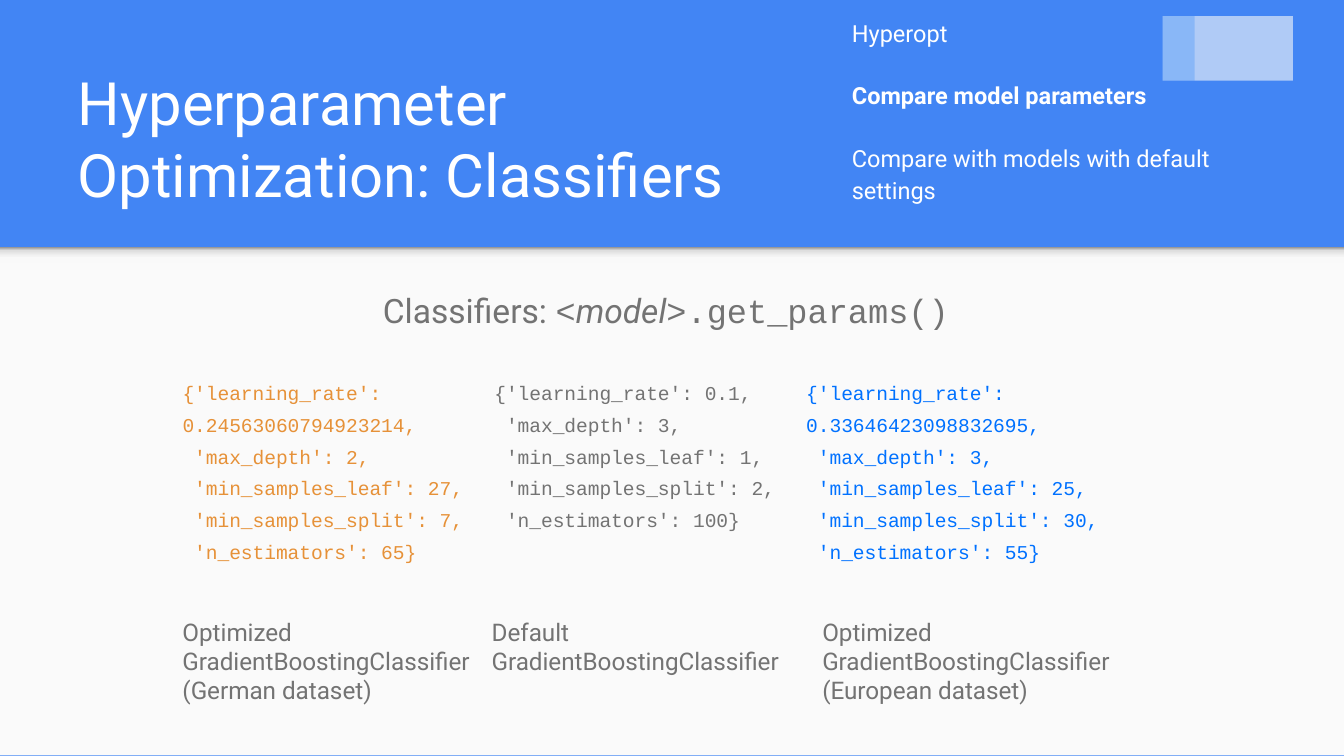
from copy import deepcopy

from pptx import Presentation
from pptx.dml.color import RGBColor
from pptx.enum.shapes import MSO_SHAPE
from pptx.enum.text import MSO_ANCHOR
from pptx.oxml.ns import qn
from pptx.oxml.xmlchemy import OxmlElement
from pptx.util import Inches, Pt

RECT = MSO_SHAPE.RECTANGLE
TOP, BOTTOM = MSO_ANCHOR.TOP, MSO_ANCHOR.BOTTOM

THEME = {
    "blue": "4285F4", "paper": "FAFAFA", "white": "FFFFFF", "gray": "737373",
    "orange": "E69138", "bright": "0071FF", "pale": "E5EDF8",
    "sans": "Roboto", "mono": "Courier New",
    "title": 32, "heading": 18, "label": 13, "outline": 12.6, "code": 10.5,
}
SHADE = [(0, "F9F9F9"), (0.36, "F9F9F9"), (0.8, "DEDEDE"), (1, "999999")]

TITLE = "Hyperparameter Optimization: Classifiers"
OUTLINE = [
    ("Hyperopt", False),
    ("Compare model parameters", True),
    ("Compare with models with default settings", False),
]
HEADING = [
    ("Classifiers: ", {"name": "sans"}),
    ("<", {"name": "mono"}),
    ("model", {"name": "sans", "italic": True}),
    (">.get_params()", {"name": "mono"}),
]
PROGRESS = [(0.97, "pale", 68), (0.24, "bright", 22)]
MODELS = [
    {"color": "orange", "code_box": (1.26, 2.32, 1.82), "label_x": 1.26,
     "params": ("0.24563060794923214", 2, 27, 7, 65),
     "label": ["Optimized GradientBoostingClassifier", "(German dataset)"]},
    {"color": "gray", "code_box": (3.58, 2.32, 1.58), "label_x": 3.56,
     "params": ("0.1", 3, 1, 2, 100),
     "label": ["Default GradientBoostingClassifier"]},
    {"color": "bright", "code_box": (5.9, 2.49, 1.82), "label_x": 6.02,
     "params": ("0.33646423098832695", 3, 25, 30, 55),
     "label": ["Optimized GradientBoostingClassifier", "(European dataset)"]},
]
PARAMS = ["learning_rate", "max_depth", "min_samples_leaf",
          "min_samples_split", "n_estimators"]


def rgb(name):
    return RGBColor.from_string(THEME.get(name, name))


def add_rect(s, box, color, alpha=None):
    sp = s.shapes.add_shape(RECT, *map(Inches, box))
    sp.shadow.inherit = False
    sp.line.fill.background()
    sp.fill.solid()
    sp.fill.fore_color.rgb = rgb(color)
    if alpha is not None:
        el = OxmlElement("a:alpha")
        el.set("val", str(alpha * 1000))
        sp.fill._xPr.find(".//" + qn("a:srgbClr")).append(el)
    return sp


def add_shade(s, box):
    sp = add_rect(s, box, "paper")
    sp.fill.gradient()
    sp.fill.gradient_angle = 90
    stops = sp.fill._xPr.find(".//" + qn("a:gsLst"))
    while len(stops) < len(SHADE):
        stops.append(deepcopy(stops[0]))
    for stop, (position, color) in zip(sp.fill.gradient_stops, SHADE):
        stop.position = position
        stop.color.rgb = rgb(color)


def add_text(s, box, paragraphs, size, color, anchor=TOP, **spacing):
    tf = s.shapes.add_textbox(*map(Inches, box)).text_frame
    frame = {"word_wrap": True, "vertical_anchor": anchor}
    frame |= {f"margin_{side}": Inches(0.1)
              for side in ("left", "top", "right", "bottom")}
    for key, value in frame.items():
        setattr(tf, key, value)
    for i, runs in enumerate(paragraphs):
        p = tf.paragraphs[0] if i == 0 else tf.add_paragraph()
        for key, value in spacing.items():
            if i or key != "space_before":
                setattr(p, key, value)
        for text, style in runs:
            r = p.add_run()
            r.text = text
            font = {"name": "sans", "size": Pt(THEME[size])} | style
            font["name"] = THEME[font["name"]]
            for key, value in font.items():
                setattr(r.font, key, value)
            r.font.color.rgb = rgb(color)


def code_lines(values):
    last = len(PARAMS) - 1
    return [f"{' ' if i else '{'}'{name}': {value}{'}' if i == last else ','}"
            for i, (name, value) in enumerate(zip(PARAMS, values))]


def main():
    prs = Presentation()
    prs.slide_width = Inches(10)
    prs.slide_height = prs.slide_width * 9 // 16
    s = prs.slides.add_slide(prs.slide_layouts[6])
    s.background.fill.solid()
    s.background.fill.fore_color.rgb = rgb("blue")

    add_rect(s, (0, 1.84, 10, 3.78), "paper")
    add_shade(s, (0, 1.84, 10, 0.12))
    add_text(s, (6.24, 0.3, 2.94, 1.32),
             [[(text, {"bold": bold})] for text, bold in OUTLINE],
             "outline", "white", BOTTOM, line_spacing=1.15, space_before=Pt(16))
    for width, color, alpha in PROGRESS:
        add_rect(s, (8.65, 0.12, width, 0.48), color, alpha)
    add_text(s, (0.48, 0.52, 5.99, 1.14), [[(TITLE, {})]],
             "title", "white", BOTTOM)
    add_text(s, (2.75, 2.06, 4.5, 0.5), [HEADING], "heading", "gray")

    for model in MODELS:
        left, width, height = model["code_box"]
        add_text(s, (left, 2.67, width, height),
                 [[(line, {"name": "mono"})] for line in code_lines(model["params"])],
                 "code", model["color"], line_spacing=1.36)
        add_text(s, (model["label_x"], 4.49, 2.36, 0.86),
                 [[(line, {})] for line in model["label"]], "label", "gray")

    prs.save("out.pptx")


if __name__ == "__main__":
    main()
